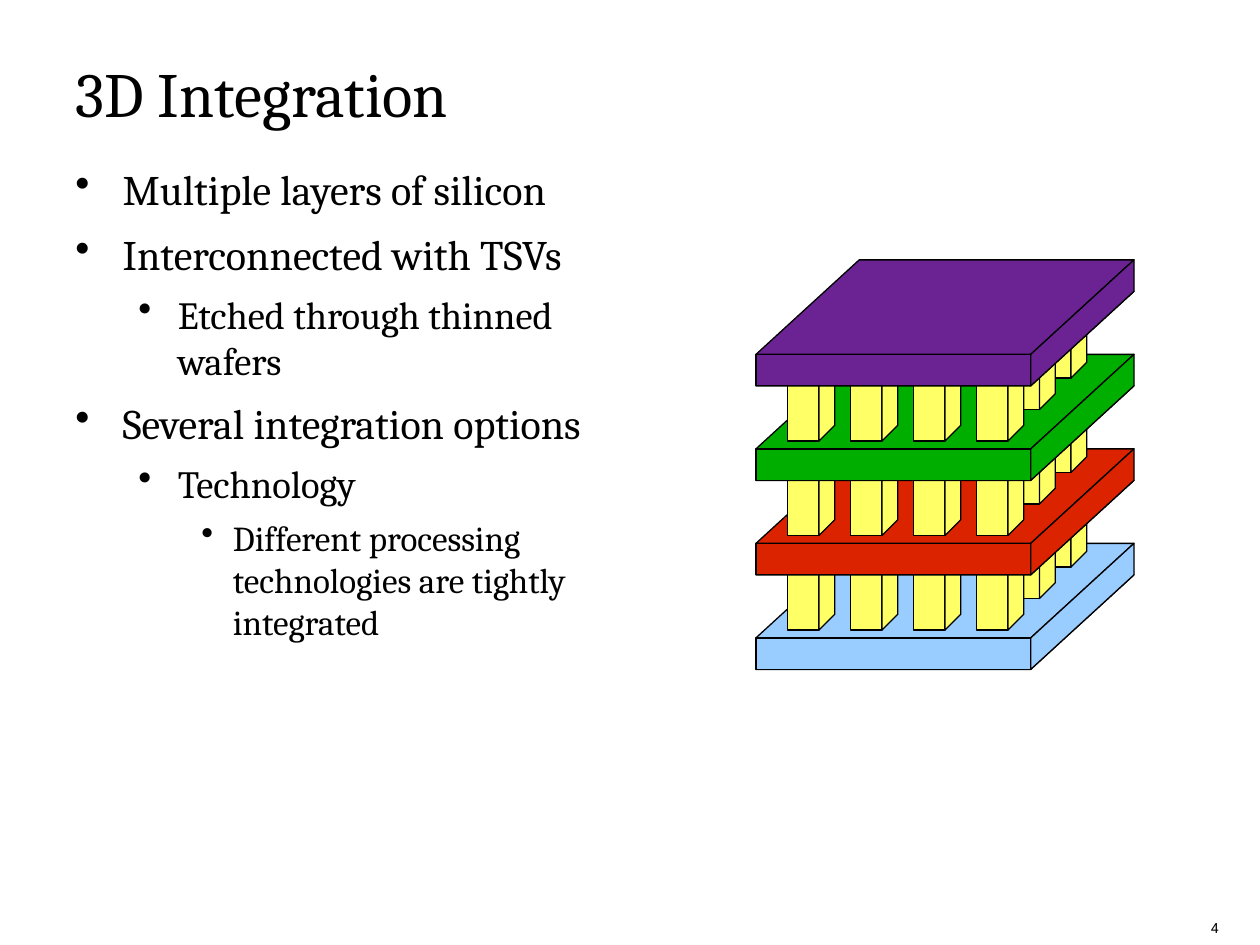
import pptx
import pptx.util
import pptx.dml.color
import pptx.enum.shapes
import pptx.enum.text
import pptx.oxml.ns
from lxml import etree

Pt = pptx.util.Pt
RGBColor = pptx.dml.color.RGBColor
MSO_SHAPE = pptx.enum.shapes.MSO_SHAPE
MSO_ANCHOR = pptx.enum.text.MSO_ANCHOR
MSO_AUTO_SIZE = pptx.enum.text.MSO_AUTO_SIZE
PP_ALIGN = pptx.enum.text.PP_ALIGN
qn = pptx.oxml.ns.qn

BLACK = RGBColor(0x00, 0x00, 0x00)
BLUE = RGBColor(0x99, 0xCC, 0xFF)
RED = RGBColor(0xDC, 0x23, 0x00)
GREEN = RGBColor(0x00, 0xAE, 0x00)
PURPLE = RGBColor(0x6B, 0x23, 0x94)
YELLOW = RGBColor(0xFF, 0xFF, 0x66)


def paint(sp, color):
    sp.shadow.inherit = False
    sp.fill.solid()
    sp.fill.fore_color.rgb = color
    sp.line.color.rgb = BLACK
    sp.line.width = Pt(0)


def add_block(shapes, left, top, width, height, dx, dy, color):
    """Draw a front face and the right side that recedes by dx and rises by dy."""
    front = shapes.add_shape(MSO_SHAPE.RECTANGLE, Pt(left), Pt(top), Pt(width), Pt(height))
    right, bottom = left + width, top + height
    corners = [(right + dx, bottom - dy), (right + dx, top - dy), (right, top)]
    fb = shapes.build_freeform(Pt(right), Pt(bottom))
    fb.add_line_segments([(Pt(x), Pt(y)) for x, y in corners], close=True)
    side = fb.convert_to_shape()
    paint(front, color)
    paint(side, color)


prs = pptx.Presentation()
prs.slide_width, prs.slide_height = Pt(720), Pt(540)
s = prs.slides.add_slide(prs.slide_layouts[5])

# Stack of layers, bottom to top, with vias standing on all but the last
LAYERS = [BLUE, RED, GREEN, PURPLE]
LAYER_LEFT, LAYER_TOP, LAYER_STEP = 432, 310.5, 54
FRONT_WIDTH, THICKNESS = 157, 18
DEPTH_X, DEPTH_Y = 59, 54
VIAS = [(594, -22.5), (450, 13.5), (486, 13.5), (522, 13.5), (576, -4.5), (558, 13.5)]

for i, color in enumerate(LAYERS):
    top = LAYER_TOP - i * LAYER_STEP
    layer = s.shapes.add_group_shape()
    for y in (top + THICKNESS, top):
        face = layer.shapes.add_shape(MSO_SHAPE.PARALLELOGRAM, Pt(LAYER_LEFT), Pt(y),
                                      Pt(FRONT_WIDTH + DEPTH_X), Pt(DEPTH_Y))
        face.adjustments[0] = DEPTH_X / DEPTH_Y
        paint(face, color)
    add_block(layer.shapes, LAYER_LEFT, top + DEPTH_Y, FRONT_WIDTH, THICKNESS,
              DEPTH_X, DEPTH_Y, color)
    if color != LAYERS[-1]:
        for left, offset in VIAS:
            via = s.shapes.add_group_shape()
            add_block(via.shapes, left, top + offset, 18, 36, 9, 9, YELLOW)

# Bulleted text
BULLETS = [
    (0, "Multiple layers of silicon"),
    (0, "Interconnected with TSVs"),
    (1, "Etched through thinned wafers"),
    (0, "Several integration options"),
    (1, "Technology"),
    (2, "Different processing technologies are tightly integrated"),
]
# level: margin, hanging indent, space before, size
LEVELS = [(27, 27, 8, 24), (58.5, 22.5, 7, 22), (90, 18, 6, 20)]

body = s.shapes.add_textbox(Pt(36), Pt(90), Pt(320.5), Pt(414))
tf = body.text_frame
tf.word_wrap = True
for i, (level, text) in enumerate(BULLETS):
    margin, hanging, before, size = LEVELS[level]
    p = tf.add_paragraph() if i else tf.paragraphs[0]
    p.level = level
    pPr = p._p.get_or_add_pPr()
    pPr.set("marL", str(Pt(margin)))
    pPr.set("indent", str(-Pt(hanging)))
    etree.SubElement(pPr, qn("a:buChar")).set("char", "•")
    p.space_before = Pt(before if i else 0)
    r = p.add_run()
    r.text = text
    r.font.name, r.font.size = "Cambria", Pt(size)
    r.font.color.rgb = BLACK

# Title
title = s.shapes.title
title.left, title.top, title.width, title.height = Pt(36), Pt(-7), Pt(432), Pt(85)
tf = title.text_frame
tf.auto_size = MSO_AUTO_SIZE.NONE
tf.vertical_anchor = MSO_ANCHOR.BOTTOM
p = tf.paragraphs[0]
p.alignment = PP_ALIGN.LEFT
r = p.add_run()
r.text = "3D Integration"
r.font.name, r.font.size = "Cambria", Pt(36)
r.font.color.rgb = BLACK

# Page number
number = s.shapes.add_textbox(Pt(644.5), Pt(522), Pt(59), Pt(18.5))
tf = number.text_frame
tf.word_wrap = True
p = tf.paragraphs[0]
p.alignment = PP_ALIGN.RIGHT
r = p.add_run()
r.text = "4"
r.font.name, r.font.size = "Roboto", Pt(8)
r.font.color.rgb = BLACK

prs.save("out.pptx")
